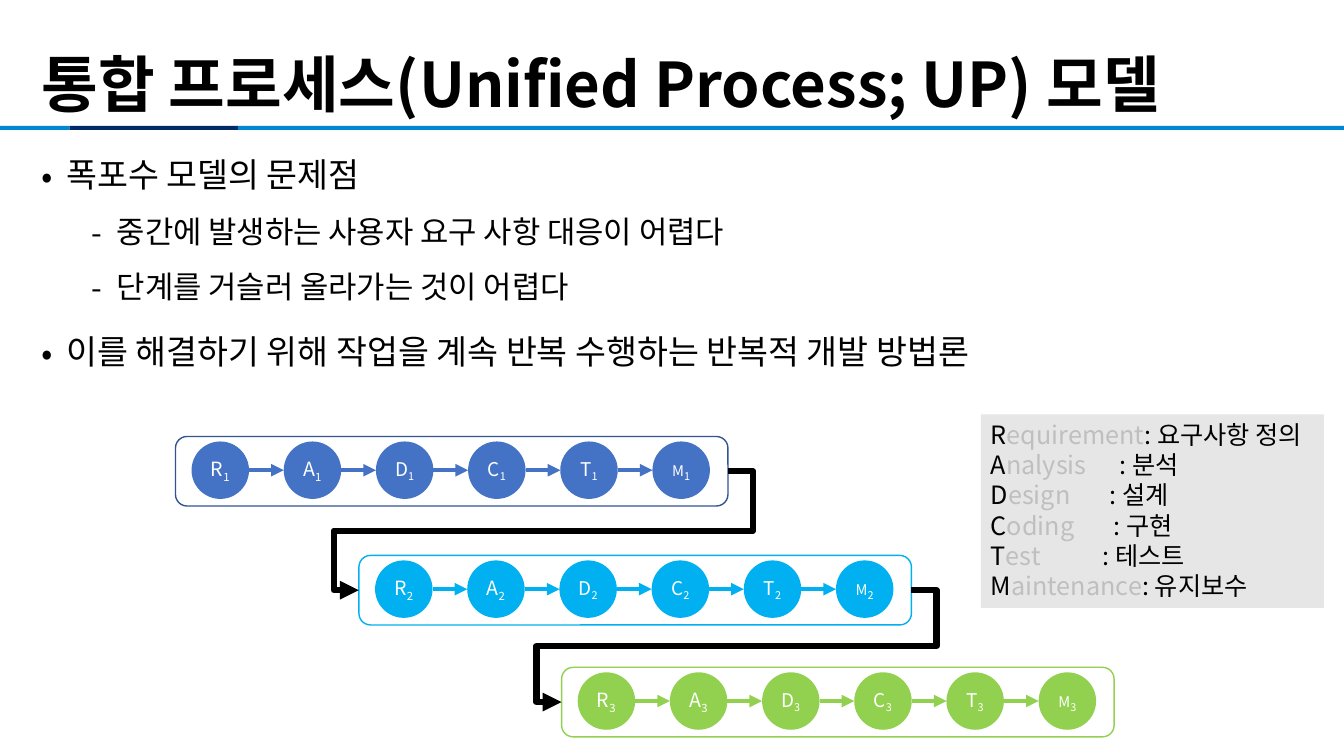
"""Build the Unified Process model slide."""
import pptx
import pptx.util
import pptx.dml.color
import pptx.enum.shapes
import pptx.enum.text
import pptx.oxml
import pptx.oxml.ns
from lxml import etree

Inches, Pt = pptx.util.Inches, pptx.util.Pt
RGB = pptx.dml.color.RGBColor.from_string
SHAPE = pptx.enum.shapes.MSO_SHAPE
CONNECTOR = pptx.enum.shapes.MSO_CONNECTOR
ANCHOR = pptx.enum.text.MSO_ANCHOR
ALIGN = pptx.enum.text.PP_ALIGN
qn = pptx.oxml.ns.qn

FONT = "Noto Sans CJK KR"
COLORS = {
    "black": "000000", "white": "FFFFFF", "navy": "002967", "rule": "0186D1",
    "first": "4472C4", "first_edge": "325491", "second": "00B0F0",
    "third": "92D050", "legend": "E7E6E6", "faded": "BFBFBF",
}


def add_run(paragraph, text, size, color, bold=False, baseline=None):
    run = paragraph.add_run()
    run.text = text
    for key, value in {"name": FONT, "size": Pt(size), "bold": bold}.items():
        setattr(run.font, key, value)
    run.font.color.rgb = RGB(COLORS[color])
    properties = run._r.get_or_add_rPr()
    etree.SubElement(properties, qn("a:ea")).set("typeface", FONT)
    if baseline:
        properties.set("baseline", str(baseline))


def style_arrow(arrow, color, width):
    arrow.line.color.rgb = RGB(COLORS[color])
    arrow.line.width = Pt(width)
    etree.SubElement(arrow.line._get_or_add_ln(), qn("a:tailEnd")).set("type", "triangle")
    etree.SubElement(arrow._element.spPr, qn("a:effectLst"))


deck = pptx.Presentation()
deck.slide_width, deck.slide_height = Inches(13.33), Inches(7.5)
slide = deck.slides.add_slide(deck.slide_layouts[5])
shapes = slide.shapes

for left, width, color in [(0, 0.69, "rule"), (0.69, 1.67, "navy"), (2.36, 10.97, "rule")]:
    bar = shapes.add_shape(SHAPE.RECTANGLE, Inches(left), Inches(1.25), Inches(width), Inches(0.04))
    bar.shadow.inherit = False
    bar.fill.solid()
    bar.fill.fore_color.rgb = RGB(COLORS[color])
    bar.line.fill.background()

title = shapes.title
for key, value in {"left": 0.31, "top": 0.4, "width": 12.65, "height": 0.85}.items():
    setattr(title, key, Inches(value))
title.text_frame.vertical_anchor = ANCHOR.BOTTOM
title.text_frame.word_wrap = True
heading = title.text_frame.paragraphs[0]
heading.alignment = ALIGN.LEFT
heading.line_spacing = 0.9
add_run(heading, "통합 프로세스(Unified Process; UP) 모델", 44, "black", bold=True)

points = [
    (0, "폭포수 모델의 문제점"),
    (1, "중간에 발생하는 사용자 요구 사항 대응이 어렵다"),
    (1, "단계를 거슬러 올라가는 것이 어렵다"),
    (0, "이를 해결하기 위해 작업을 계속 반복 수행하는 반복적 개발 방법론"),
]
levels = [
    {"indent": 0.25, "bullet": "•", "size": 24, "before": 10},
    {"indent": 0.75, "bullet": "-", "size": 22, "before": 5},
]
body = shapes.add_textbox(Inches(0.31), Inches(1.36), Inches(12.65), Inches(5.89)).text_frame
body.word_wrap = True
for number, (level, text) in enumerate(points):
    style = levels[level]
    point = body.add_paragraph() if number else body.paragraphs[0]
    point.level = level
    point.line_spacing = 1.3
    point.space_before = Pt(style["before"] if number else 0)
    properties = point._p.get_or_add_pPr()
    properties.set("marL", str(Inches(style["indent"])))
    properties.set("indent", str(Inches(-0.25)))
    etree.SubElement(properties, qn("a:buFont")).set("typeface", FONT)
    etree.SubElement(properties, qn("a:buChar")).set("char", style["bullet"])
    add_run(point, text, style["size"], "black")

phases = [("R", 14), ("A", 14), ("D", 13.5), ("C", 13.5), ("T", 13.5), ("M", 10.5)]
iterations = [
    (1.74, 4.33, "first", "first_edge"),
    (3.56, 5.51, "second", "second"),
    (5.57, 6.62, "third", "third"),
]
STEP = Inches(6.4) // 7
DIAMETER = Inches(0.57)
panels = []
for cycle, (left, top, color, edge) in enumerate(iterations, 1):
    panel = shapes.add_shape(SHAPE.ROUNDED_RECTANGLE, Inches(left), Inches(top), Inches(5.48), Inches(0.69))
    panel.shadow.inherit = False
    panel.fill.background()
    panel.line.color.rgb = RGB(COLORS[edge])
    panel.line.width = Pt(1)
    panels.append(panel)
    phase_top = Inches(top + 0.05)
    middle = phase_top + DIAMETER // 2
    for column, (letter, size) in enumerate(phases):
        phase_left = Inches(left + 0.16) + column * STEP
        phase = shapes.add_shape(SHAPE.OVAL, phase_left, phase_top, DIAMETER, DIAMETER)
        phase.shadow.inherit = False
        phase.fill.solid()
        phase.fill.fore_color.rgb = RGB(COLORS[color])
        phase.line.fill.background()
        frame = phase.text_frame
        frame.vertical_anchor = ANCHOR.MIDDLE
        label = frame.paragraphs[0]
        label.alignment = ALIGN.CENTER
        add_run(label, letter, size, "white")
        add_run(label, str(cycle), max(size, 13.5), "white", baseline=-25000)
        if column:
            arrow = shapes.add_connector(
                CONNECTOR.STRAIGHT, phase_left - STEP + DIAMETER, middle, phase_left, middle)
            style_arrow(arrow, color, 3)

for source, target in zip(panels, panels[1:]):
    loop = shapes.add_connector(CONNECTOR.ELBOW, 0, 0, 0, 0)
    loop.begin_connect(source, 3)
    loop.end_connect(target, 1)
    geometry = loop._element.spPr.find(qn("a:prstGeom"))
    geometry.set("prst", "bentConnector5")
    overhang = round(100000 * Inches(0.25) / loop.width)
    guides = geometry.find(qn("a:avLst"))
    for index, bend in enumerate([-overhang, 50000, 100000 + overhang], 1):
        guide = etree.SubElement(guides, qn("a:gd"))
        guide.set("name", f"adj{index}")
        guide.set("fmla", f"val {bend}")
    style_arrow(loop, "black", 4.5)

terms = [
    ("R", "equirement", "요구사항 정의", None),
    ("A", "nalysis", "분석", 1.28),
    ("D", "esign", "설계", 1.18),
    ("C", "oding", "구현", 1.22),
    ("T", "est", "테스트", 1.11),
    ("M", "aintenance", "유지보수", None),
]
legend = shapes.add_shape(SHAPE.RECTANGLE, Inches(9.73), Inches(4.11), Inches(3.4), Inches(1.92))
legend.shadow.inherit = False
legend.fill.solid()
legend.fill.fore_color.rgb = RGB(COLORS["legend"])
legend.line.fill.background()
frame = legend.text_frame
frame.word_wrap = False
frame.vertical_anchor = ANCHOR.TOP
for number, (initial, rest, meaning, stop) in enumerate(terms):
    term = frame.add_paragraph() if number else frame.paragraphs[0]
    term.alignment = ALIGN.LEFT
    if stop:
        tabs = etree.SubElement(term._p.get_or_add_pPr(), qn("a:tabLst"))
        tab = etree.SubElement(tabs, qn("a:tab"))
        tab.set("pos", str(Inches(stop)))
        tab.set("algn", "l")
    add_run(term, initial, 18, "black")
    add_run(term, rest, 18, "faded")
    add_run(term, f"\t: {meaning}" if stop else f": {meaning}", 18, "black")

deck.save("out.pptx")
